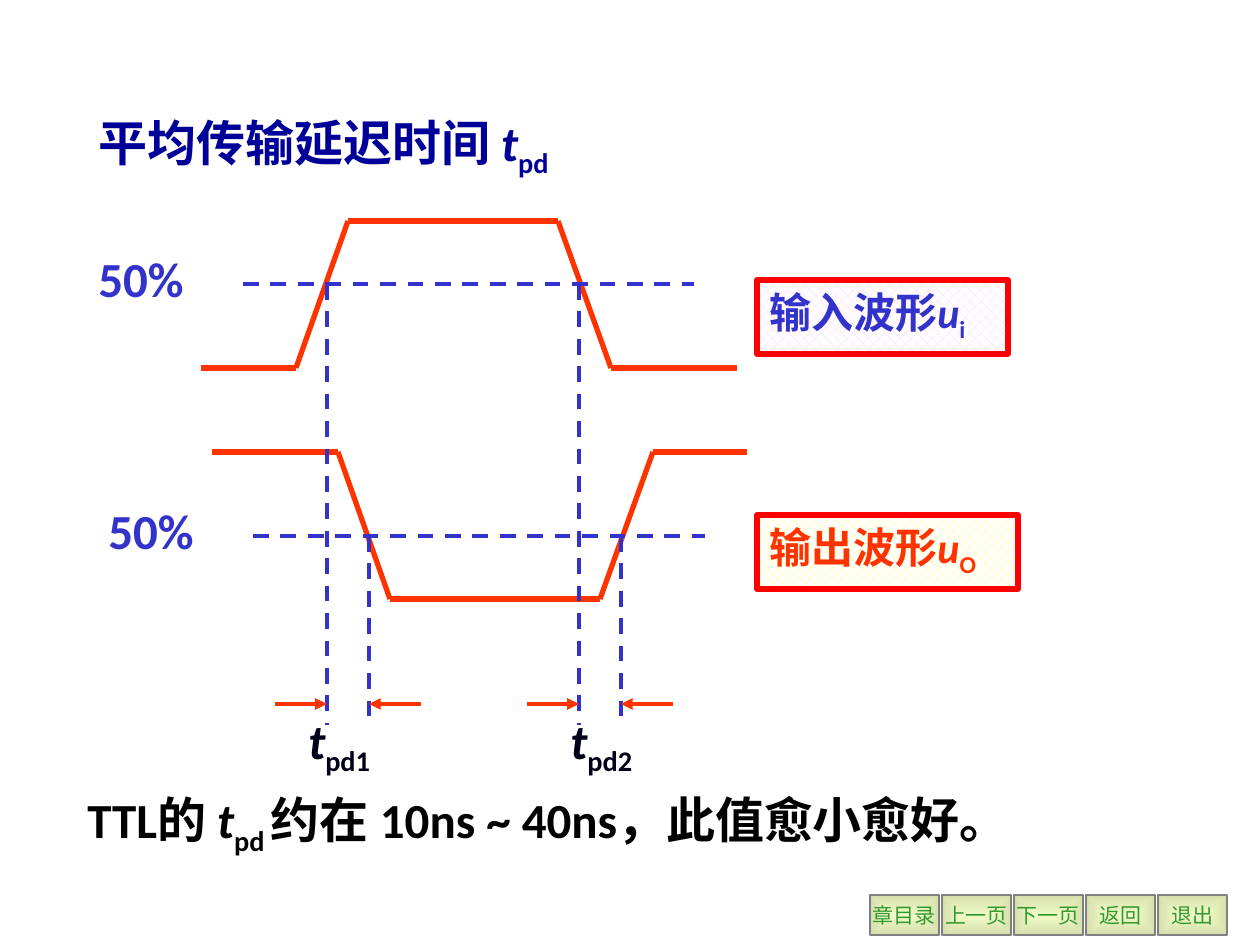
from itertools import pairwise
from typing import NamedTuple

from lxml import etree
from pptx import Presentation
from pptx import util as u
from pptx.dml.color import RGBColor
from pptx.enum import dml, shapes, text
from pptx.oxml import ns

PX = 914400 / 126
HUES = {
    "navy": "000099", "blue": "3333CC", "orange": "FF3300", "red": "FF0000",
    "ink": "000018", "black": "000000", "white": "FFFFFF", "pink": "FFCCFF",
    "lemon": "FFFF66", "lime": "F0FAC4", "moss": "D6DFAE", "gray": "808080",
    "green": "339933",
}


class Run(NamedTuple):
    text: str
    slant: bool = False
    sub: bool = False


class Label(NamedTuple):
    box: tuple[int, int, int, int]
    hue: str
    runs: list[Run]
    size: int = 28
    wrap: bool = True
    gap: float = 1.0


class Panel(NamedTuple):
    label: Label
    tint: str


class Style(NamedTuple):
    hue: str
    width: float
    dash: bool = False
    arrow: bool = False


WAVE = Style("orange", 3)
GUIDE = Style("blue", 2.25, dash=True)
ARROW = Style("orange", 2.25, arrow=True)


def px(n: int) -> u.Emu:
    return u.Emu(round(n * PX))


def rgb(hue: str) -> RGBColor:
    return RGBColor.from_string(HUES[hue])


def symbol(sub: str, name: str = "t") -> list[Run]:
    return [Run(name, slant=True), Run(sub, sub=True)]


def write(shape, label: Label) -> None:
    frame = shape.text_frame
    frame.auto_size = text.MSO_AUTO_SIZE.NONE
    frame.word_wrap = label.wrap
    frame.vertical_anchor = text.MSO_ANCHOR.TOP
    para = frame.paragraphs[0]
    para.alignment = text.PP_ALIGN.LEFT
    para.line_spacing = label.gap
    for part in label.runs:
        run = para.add_run()
        run.text = part.text
        font = run.font
        font.name, font.size = "Calibri", u.Pt(label.size)
        font.bold, font.italic = True, part.slant
        font.color.rgb = rgb(label.hue)
        if part.sub:
            run._r.get_or_add_rPr().set("baseline", "-25000")


def add_title(slide, label: Label) -> None:
    title = slide.shapes.title
    title.left, title.top, title.width, title.height = map(px, label.box)
    write(title, label)


def add_label(slide, label: Label) -> None:
    write(slide.shapes.add_textbox(*map(px, label.box)), label)


def add_panel(slide, panel: Panel) -> None:
    box = slide.shapes.add_shape(
        shapes.MSO_SHAPE.RECTANGLE, *map(px, panel.label.box))
    box.shadow.inherit = False
    box.fill.patterned()
    box.fill.pattern = dml.MSO_PATTERN.from_xml("pct40")
    box.fill.fore_color.rgb = rgb(panel.tint)
    box.fill.back_color.rgb = rgb("white")
    box.line.color.rgb = rgb("red")
    box.line.width = u.Pt(3)
    write(box, panel.label)


def add_line(slide, start: tuple[int, int], end: tuple[int, int],
             style: Style) -> None:
    line = slide.shapes.add_connector(
        shapes.MSO_CONNECTOR.STRAIGHT, *map(px, start + end))
    line.line.color.rgb = rgb(style.hue)
    line.line.width = u.Pt(style.width)
    if style.dash:
        line.line.dash_style = dml.MSO_LINE.DASH
    if style.arrow:
        etree.SubElement(line._element.spPr.find(ns.qn("a:ln")),
                         ns.qn("a:tailEnd"), type="triangle")
    etree.SubElement(line._element.spPr, ns.qn("a:effectLst"))


def add_button(slide, left: int, name: str) -> None:
    key = slide.shapes.add_shape(
        shapes.MSO_SHAPE.ACTION_BUTTON_CUSTOM, *map(px, (left, 895, 69, 40)))
    key.shadow.inherit = False
    key.fill.gradient()
    for stop, hue in zip(key.fill.gradient_stops, ("lime", "moss")):
        stop.color.rgb = rgb(hue)
    grad = key._element.spPr.find(ns.qn("a:gradFill"))
    grad.remove(grad.find(ns.qn("a:lin")))
    focus = etree.SubElement(grad, ns.qn("a:path"), {"path": "rect"})
    etree.SubElement(focus, ns.qn("a:fillToRect"),
                     dict.fromkeys("ltrb", "50000"))
    key.line.color.rgb = rgb("gray")
    key.line.width = u.Pt(0.75)
    frame = key.text_frame
    frame.word_wrap = False
    frame.vertical_anchor = text.MSO_ANCHOR.MIDDLE
    para = frame.paragraphs[0]
    para.alignment = text.PP_ALIGN.CENTER
    run = para.add_run()
    run.text = name
    run.font.name, run.font.size = "Times New Roman", u.Pt(12)
    run.font.color.rgb = rgb("green")


TITLE = Label((86, 106, 567, 84), "navy",
              [Run("平均传输延迟时间 "), *symbol("pd")])
WAVES = [
    [(201, 368), (296, 368), (348, 221), (558, 221), (611, 368), (737, 368)],
    [(212, 452), (338, 452), (390, 599), (600, 599), (653, 452), (747, 452)],
]
LABELS = [
    Label((86, 242, 136, 72), "blue", [Run("50%")]),
    Label((96, 494, 118, 71), "blue", [Run("50%")], wrap=False),
    Label((296, 704, 136, 84), "ink", symbol("pd1")),
    Label((558, 704, 105, 84), "ink", symbol("pd2")),
    Label((75, 777, 987, 91), "black",
          [Run("TTL的 "), *symbol("pd "),
           Run("约在 10ns ~ 40ns，此值愈小愈好。")], gap=1.1),
]
PANELS = [
    Panel(Label((757, 280, 251, 74), "blue",
                [Run("输入波形"), *symbol("i", "u")], size=24), "pink"),
    Panel(Label((757, 515, 261, 74), "orange",
                [Run("输出波形"), *symbol("O", "u")], size=24), "lemon"),
]
BUTTONS = ["章目录", "上一页", "下一页", "返回", "退出"]


def main() -> None:
    deck = Presentation()
    deck.slide_width, deck.slide_height = px(1260), px(945)
    slide = deck.slides.add_slide(deck.slide_layouts[5])
    add_title(slide, TITLE)
    for i, name in enumerate(BUTTONS):
        add_button(slide, 870 + 72 * i, name)
    for wave in WAVES:
        for start, end in pairwise(wave):
            add_line(slide, start, end, WAVE)
    add_line(slide, (243, 284), (694, 284), GUIDE)
    add_line(slide, (253, 536), (705, 536), GUIDE)
    for rise in (327, 579):
        fall = rise + 42
        add_line(slide, (rise, 284), (rise, 725), GUIDE)
        add_line(slide, (fall, 536), (fall, 725), GUIDE)
        add_line(slide, (rise - 52, 704), (rise, 704), ARROW)
        add_line(slide, (fall + 52, 704), (fall, 704), ARROW)
    for label in LABELS:
        add_label(slide, label)
    for panel in PANELS:
        add_panel(slide, panel)
    deck.save("out.pptx")


if __name__ == "__main__":
    main()
